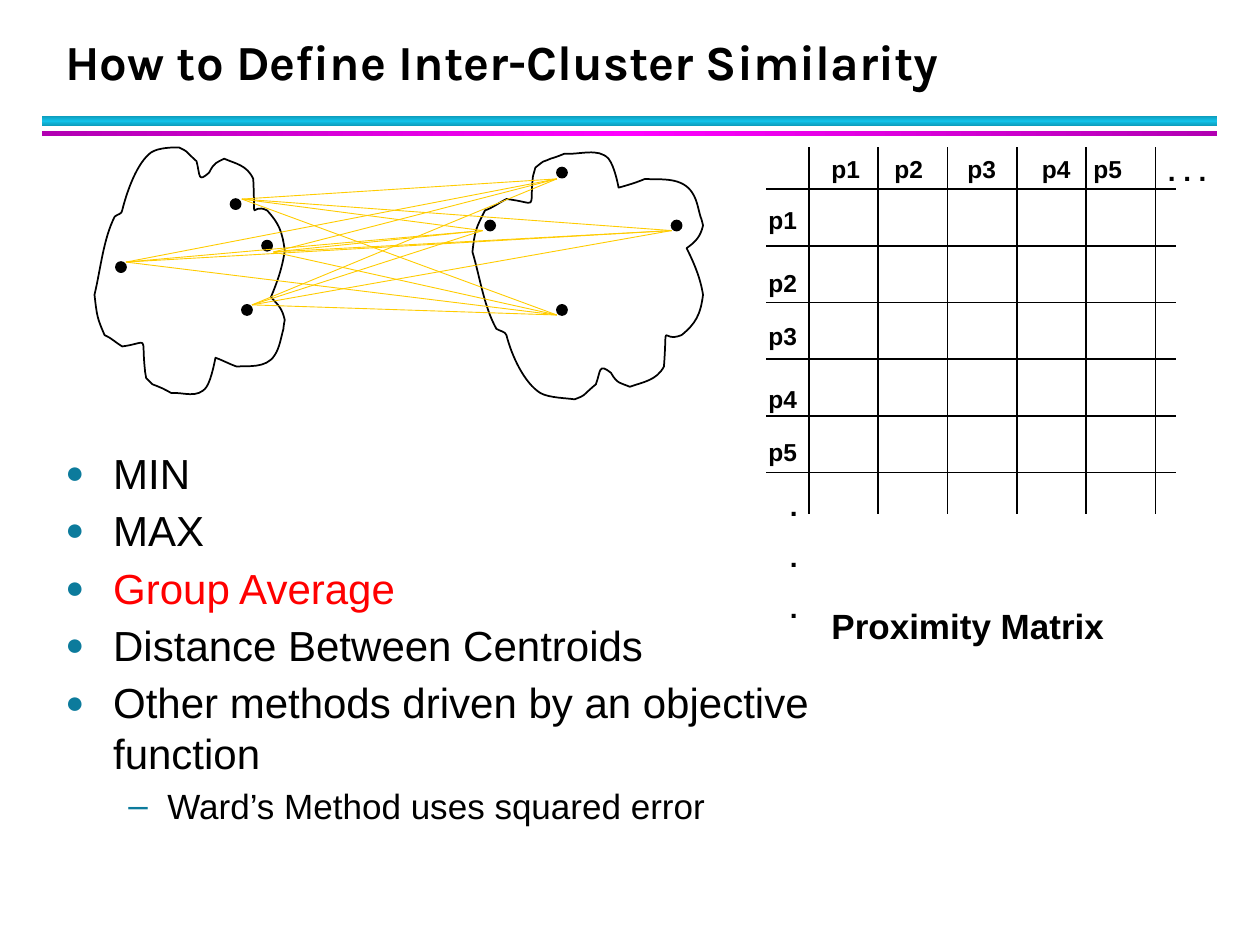
from copy import deepcopy
from dataclasses import dataclass
from itertools import product

from lxml import etree
from pptx import Presentation
from pptx import util as u
from pptx.dml.color import RGBColor
from pptx.enum import shapes, text
from pptx.oxml import ns

COLORS = {
    "black": "000000",
    "red": "FF0000",
    "yellow": "FFCC00",
    "bullet": "0C7B9C",
    "cyan_edge": "0E9BBA",
    "cyan": "12C2E9",
    "magenta_edge": "B200B2",
    "magenta": "FF00FF",
}


@dataclass
class Bar:
    top: float
    height: float
    edge: str
    middle: str
    angle: int


@dataclass
class Label:
    lines: list
    left: float
    top: float
    width: float = 0.58
    height: float = 0.34
    size: int = 14
    space: float = 0


@dataclass
class Item:
    words: str
    color: str = "black"
    level: int = 0


@dataclass
class Cluster:
    start: tuple
    curves: list
    dots: list
    link_ends: list


BARS = [
    Bar(0.92, 0.08, "cyan_edge", "cyan", 90),
    Bar(1.04, 0.04, "magenta_edge", "magenta", 0),
]
COLUMN_LEFTS = [6.5, 7, 7.58, 8.17, 8.58]
ROW_TOPS = [1.58, 2.08, 2.5, 3, 3.42]
LABELS = [
    *[Label([f"p{n}"], 6, top) for n, top in enumerate(ROW_TOPS, 1)],
    *[Label([f"p{n}"], left, 1.17) for n, left in enumerate(COLUMN_LEFTS, 1)],
    Label([". . ."], 9.17, 1.17, height=0.37, size=16),
    Label([".", ".", "."], 6.17, 3.83, height=1.18, size=16, space=10),
    Label(["Proximity Matrix"], 6.5, 4.75, 2.75, 0.44, 20),
]
ITEMS = [
    Item("MIN"),
    Item("MAX"),
    Item("Group Average", "red"),
    Item("Distance Between Centroids"),
    Item("Other methods driven by an objective function"),
    Item("Ward’s Method uses squared error", level=1),
]
LEVELS = [
    {"size": 24, "margin": 0.38, "indent": -0.38, "bullet": "●", "scale": 75},
    {"size": 20, "margin": 0.81, "indent": -0.31, "bullet": "–", "scale": 100},
]
# Outlines are in hundredths of an inch: two control points and an end point per curve.
LEFT_CLUSTER = Cluster(
    (91, 172),
    [
        (82, 190, 80, 213, 75, 234), (77, 251, 77, 252, 83, 266),
        (88, 268, 92, 272, 97, 275), (119, 272, 112, 265, 115, 293),
        (115, 296, 116, 298, 116, 300), (123, 307, 119, 304, 126, 307),
        (129, 308, 136, 312, 136, 312), (145, 311, 157, 317, 164, 307),
        (168, 301, 171, 284, 171, 284), (177, 286, 182, 289, 188, 291),
        (196, 290, 211, 293, 218, 282), (222, 276, 223, 268, 225, 261),
        (225, 259, 226, 254, 226, 254), (224, 245, 221, 242, 215, 236),
        (220, 224, 224, 213, 226, 199), (224, 183, 221, 177, 212, 167),
        (198, 160, 203, 182, 201, 142), (196, 131, 187, 130, 178, 126),
        (172, 129, 170, 129, 166, 137), (157, 145, 159, 140, 156, 128),
        (145, 118, 150, 121, 142, 117), (138, 117, 126, 117, 120, 121),
        (109, 129, 101, 151, 97, 167), (97, 170, 93, 170, 91, 172),
    ],
    [(1.92, 2.42), (1.83, 1.58), (0.92, 2.08), (2.08, 1.91)],
    [(2, 2.42), (2.17, 2), (1, 2.08), (1.92, 1.58)],
)
RIGHT_CLUSTER = Cluster(
    (394, 261),
    [
        (384, 243, 381, 220, 375, 200), (377, 182, 378, 181, 385, 167),
        (391, 165, 396, 161, 402, 158), (428, 161, 420, 168, 423, 140),
        (424, 138, 424, 135, 425, 133), (434, 126, 428, 130, 437, 126),
        (441, 125, 448, 122, 448, 122), (460, 123, 475, 117, 483, 126),
        (488, 132, 491, 149, 491, 149), (498, 147, 505, 145, 512, 142),
        (522, 143, 539, 140, 548, 151), (553, 157, 554, 165, 556, 172),
        (557, 174, 558, 179, 558, 179), (556, 188, 552, 192, 545, 197),
        (551, 209, 556, 221, 558, 234), (556, 250, 552, 257, 541, 266),
        (524, 273, 530, 251, 527, 291), (521, 302, 511, 303, 500, 307),
        (493, 304, 490, 305, 485, 296), (475, 288, 477, 294, 473, 305),
        (460, 316, 466, 313, 456, 317), (451, 316, 436, 316, 429, 312),
        (416, 304, 406, 282, 402, 266), (401, 263, 397, 263, 394, 261),
    ],
    [(5.33, 1.75), (3.85, 1.75), (4.42, 2.42), (4.42, 1.33)],
    [(4.42, 2.5), (3.83, 1.83), (4.42, 1.42), (5.33, 1.83)],
)


def rgb(name: str) -> RGBColor:
    return RGBColor.from_string(COLORS[name])


def apply(target, values: dict) -> None:
    for name, value in values.items():
        setattr(target, name, value)


def style_line(shape, color: str, width: float) -> None:
    shape.line.color.rgb = rgb(color)
    shape.line.width = u.Pt(width)


def add_line(slide, start: tuple, end: tuple, color: str = "black", width: float = 1) -> None:
    points = [u.Inches(value) for value in (*start, *end)]
    connector = slide.shapes.add_connector(shapes.MSO_CONNECTOR.STRAIGHT, *points)
    style_line(connector, color, width)
    etree.SubElement(connector._element.spPr, ns.qn("a:effectLst"))


def add_preset(slide, kind, *box: float):
    shape = slide.shapes.add_shape(kind, *[u.Inches(value) for value in box])
    shape.shadow.inherit = False
    return shape


def add_bar(slide, bar: Bar) -> None:
    shape = add_preset(slide, shapes.MSO_SHAPE.RECTANGLE, 0.33, bar.top, 9.33, bar.height)
    shape.line.fill.background()
    shape.fill.gradient()
    shape.fill.gradient_angle = bar.angle
    stop_list = shape._element.spPr.find(".//" + ns.qn("a:gsLst"))
    stop_list.append(deepcopy(stop_list[0]))
    stops = zip(shape.fill.gradient_stops, (0, 0.5, 1), (bar.edge, bar.middle, bar.edge))
    for stop, position, color in stops:
        stop.position = position
        stop.color.rgb = rgb(color)


def add_cluster(slide, cluster: Cluster) -> None:
    builder = slide.shapes.build_freeform(*cluster.start, scale=u.Inches(0.01))
    points = [curve[i:i + 2] for curve in cluster.curves for i in (0, 2, 4)]
    builder.add_line_segments(points, close=True)
    outline = builder.convert_to_shape()
    segments = list(outline._element.iter(ns.qn("a:lnTo")))
    for index in range(0, len(segments), 3):
        first, *others = segments[index:index + 3]
        first.tag = ns.qn("a:cubicBezTo")
        for segment in others:
            first.append(segment[0])
            segment.getparent().remove(segment)
    outline.shadow.inherit = False
    outline.fill.background()
    style_line(outline, "black", 1)
    for left, top in cluster.dots:
        dot = add_preset(slide, shapes.MSO_SHAPE.OVAL, left, top, 0.08, 0.08)
        dot.fill.solid()
        dot.fill.fore_color.rgb = rgb("black")
        style_line(dot, "black", 1)


def add_text_frame(slide, *box: float):
    frame = slide.shapes.add_textbox(*[u.Inches(value) for value in box]).text_frame
    frame.word_wrap = True
    return frame


def add_paragraph(frame, index: int):
    return frame.add_paragraph() if index else frame.paragraphs[0]


def write(paragraph, words: str, color: str = "black", **font_values) -> None:
    run = paragraph.add_run()
    run.text = words
    apply(run.font, {"name": "Arial", **font_values})
    run.font.color.rgb = rgb(color)


def add_label(slide, label: Label) -> None:
    frame = add_text_frame(slide, label.left, label.top, label.width, label.height)
    frame.auto_size = text.MSO_AUTO_SIZE.SHAPE_TO_FIT_TEXT
    for index, words in enumerate(label.lines):
        paragraph = add_paragraph(frame, index)
        if index:
            paragraph.space_before = u.Pt(label.space)
        write(paragraph, words, size=u.Pt(label.size), bold=True)


def add_items(slide, items: list) -> None:
    frame = add_text_frame(slide, 0.42, 3.5, 6.33, 3.42)
    for index, item in enumerate(items):
        level = LEVELS[item.level]
        paragraph = add_paragraph(frame, index)
        apply(paragraph, {"level": item.level, "space_before": u.Pt(2 if index else 0),
                          "space_after": u.Pt(2)})
        properties = paragraph._p.get_or_add_pPr()
        properties.set("marL", str(u.Inches(level["margin"])))
        properties.set("indent", str(u.Inches(level["indent"])))
        color = etree.SubElement(properties, ns.qn("a:buClr"))
        etree.SubElement(color, ns.qn("a:srgbClr"), val=COLORS["bullet"])
        etree.SubElement(properties, ns.qn("a:buSzPct"), val=str(level["scale"] * 1000))
        etree.SubElement(properties, ns.qn("a:buFont"), typeface="Arial")
        etree.SubElement(properties, ns.qn("a:buChar"), char=level["bullet"])
        write(paragraph, item.words, item.color, size=u.Pt(level["size"]))


def main() -> None:
    presentation = Presentation()
    apply(presentation, {"slide_width": u.Inches(10), "slide_height": u.Inches(7.5)})
    slide = presentation.slides.add_slide(presentation.slide_layouts[6])
    for bar in BARS:
        add_bar(slide, bar)
    title = add_text_frame(slide, 0.42, 0.17, 9.06, 0.6)
    title.vertical_anchor = text.MSO_ANCHOR.BOTTOM
    title.paragraphs[0].line_spacing = u.Pt(36)
    write(title.paragraphs[0], "How to Define Inter-Cluster Similarity",
          name="Karla", size=u.Pt(28), bold=True)
    for index in range(6):
        x, y = 6.42 + 0.55 * index, 1.5 + 0.45 * index
        add_line(slide, (x, 1.17), (x, 4.08))
        add_line(slide, (6.08, y), (9.33, y))
    for cluster in (LEFT_CLUSTER, RIGHT_CLUSTER):
        add_cluster(slide, cluster)
    for start, end in product(LEFT_CLUSTER.link_ends, RIGHT_CLUSTER.link_ends):
        add_line(slide, start, end, "yellow", 0.5)
    for label in LABELS:
        add_label(slide, label)
    add_items(slide, ITEMS)
    presentation.save("out.pptx")


if __name__ == "__main__":
    main()
